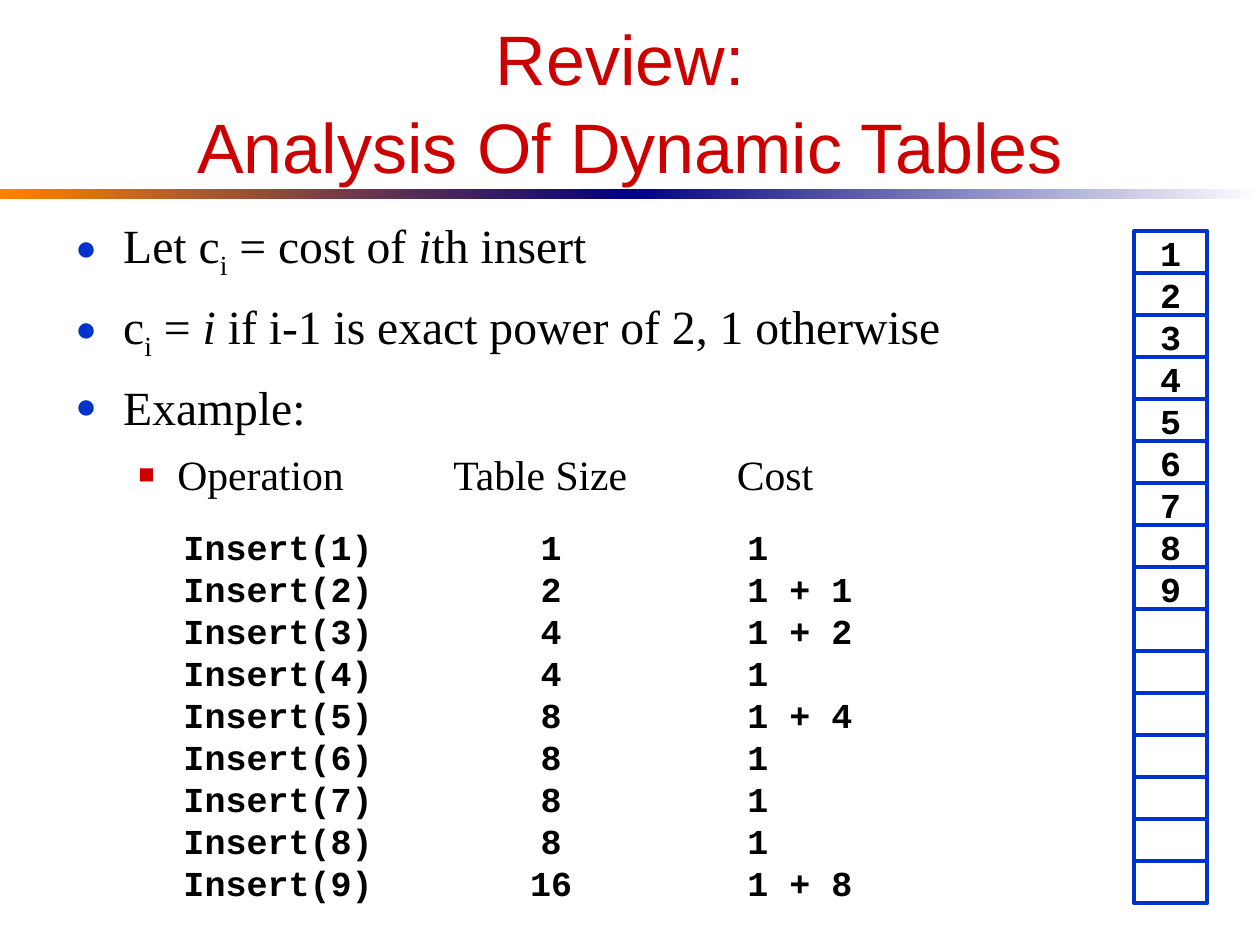
"""Build the slide reviewing the cost analysis of dynamic tables."""
from lxml import etree
from pptx import Presentation, util as u
from pptx.dml.color import RGBColor
from pptx.enum import shapes, text
from pptx.oxml import ns

RED = RGBColor(0xCC, 0x00, 0x00)
BLUE = RGBColor(0x00, 0x33, 0xCC)
NAVY = RGBColor(0x00, 0x00, 0x82)
ORANGE = RGBColor(0xFF, 0x82, 0x00)
WHITE = RGBColor(0xFF, 0xFF, 0xFF)
BLACK = RGBColor(0x00, 0x00, 0x00)
CENTER, LEFT = text.PP_ALIGN.CENTER, text.PP_ALIGN.LEFT
RECT = shapes.MSO_SHAPE.RECTANGLE

prs = Presentation()
prs.slide_width, prs.slide_height = u.Inches(10), u.Inches(7.5)
s = prs.slides.add_slide(prs.slide_layouts[6])
GRID = prs.slide_width // 120
ROW = 4


def add_run(p, words, font, size, color, bold=None):
    r = p.add_run()
    r.text = words
    r.font.name, r.font.size, r.font.bold = font, u.Pt(size), bold
    r.font.color.rgb = color
    return r


def add_cell(col, row, width, words, align=CENTER, line=None):
    sp = s.shapes.add_shape(RECT, col * GRID, row * GRID, width * GRID, ROW * GRID)
    sp.shadow.inherit = False
    sp.fill.solid()
    sp.fill.fore_color.rgb = WHITE
    if line is None:
        sp.line.fill.background()
    else:
        sp.line.color.rgb, sp.line.width = line, u.Pt(2.25)
    if words:
        tf = sp.text_frame
        tf.word_wrap = False
        tf.vertical_anchor = text.MSO_ANCHOR.MIDDLE
        p = tf.paragraphs[0]
        p.alignment = align
        add_run(p, words, "Courier New", 20, BLACK, True)


for col, start, end in [(0, ORANGE, NAVY), (60, NAVY, WHITE)]:
    sp = s.shapes.add_shape(RECT, col * GRID, 18 * GRID, 60 * GRID, GRID)
    sp.shadow.inherit = False
    sp.line.fill.background()
    sp.fill.gradient()
    sp.fill.gradient_angle = 0
    for stop, color in zip(sp.fill.gradient_stops, (start, end)):
        stop.color.rgb = color

tf = s.shapes.add_textbox(6 * GRID, 3 * GRID, 108 * GRID, 13 * GRID).text_frame
tf.word_wrap = True
tf.vertical_anchor = text.MSO_ANCHOR.MIDDLE
p = tf.paragraphs[0]
p.alignment, p.line_spacing = CENTER, 1.05
add_run(p, "Review: ", "Arial", 40, RED)
p.add_line_break()
add_run(p, "Analysis Of Dynamic Tables", "Arial", 40, RED)

POINTS = [
    (0, [("Let c", ""), ("i", "sub"), (" = cost of ", ""), ("i", "italic"), ("th insert", "")]),
    (0, [("c", ""), ("i", "sub"), (" = ", ""), ("i", "italic"),
         (" if i-1 is exact power of 2, 1 otherwise", "")]),
    (0, [("Example:", "")]),
    (1, [("Operation\tTable Size\tCost", "")]),
]
LEVELS = [
    dict(margin=0.38, indent=-0.38, bullet="●", color=BLUE, scale=75, size=27.2, before=9),
    dict(margin=0.81, indent=-0.31, bullet="■", color=RED, scale=65, size=23.8, before=8),
]
tf = s.shapes.add_textbox(6 * GRID, 20 * GRID, 108 * GRID, 27 * GRID).text_frame
tf.word_wrap = True
for n, (level, runs) in enumerate(POINTS):
    style = LEVELS[level]
    p = tf.add_paragraph() if n else tf.paragraphs[0]
    p.level = level
    if n:
        p.space_before = u.Pt(style["before"])
    pPr = p._p.get_or_add_pPr()
    pPr.set("marL", str(u.Inches(style["margin"])))
    pPr.set("indent", str(u.Inches(style["indent"])))
    buClr = etree.SubElement(pPr, ns.qn("a:buClr"))
    etree.SubElement(buClr, ns.qn("a:srgbClr"), val=str(style["color"]))
    etree.SubElement(pPr, ns.qn("a:buSzPct"), val=str(style["scale"] * 1000))
    etree.SubElement(pPr, ns.qn("a:buFont"), typeface="Times New Roman")
    etree.SubElement(pPr, ns.qn("a:buChar"), char=style["bullet"])
    if level:
        tabs = etree.SubElement(pPr, ns.qn("a:tabLst"))
        for stop in (3, 5.25):
            etree.SubElement(tabs, ns.qn("a:tab"), pos=str(u.Inches(stop)), algn="l")
    for words, kind in runs:
        r = add_run(p, words, "Times New Roman", style["size"], BLACK)
        if kind == "italic":
            r.font.italic = True
        elif kind == "sub":
            r.font._element.set("baseline", "-25000")

SIZES = [1, 2, 4, 4, 8, 8, 8, 8, 16]
COSTS = ["1", "1 + 1", "1 + 2", "1", "1 + 4", "1", "1", "1", "1 + 8"]
for n, (size, cost) in enumerate(zip(SIZES, COSTS)):
    row = 50 + n * ROW
    add_cell(23, row, 7, f"Insert({n + 1})")
    add_cell(49, row, 7, str(size))
    add_cell(70, row, 10, cost, LEFT)

for slot in range(SIZES[-1]):
    label = str(slot + 1) if slot < len(COSTS) else ""
    add_cell(108, 22 + slot * ROW, 7, label, line=BLUE)

prs.save("out.pptx")
